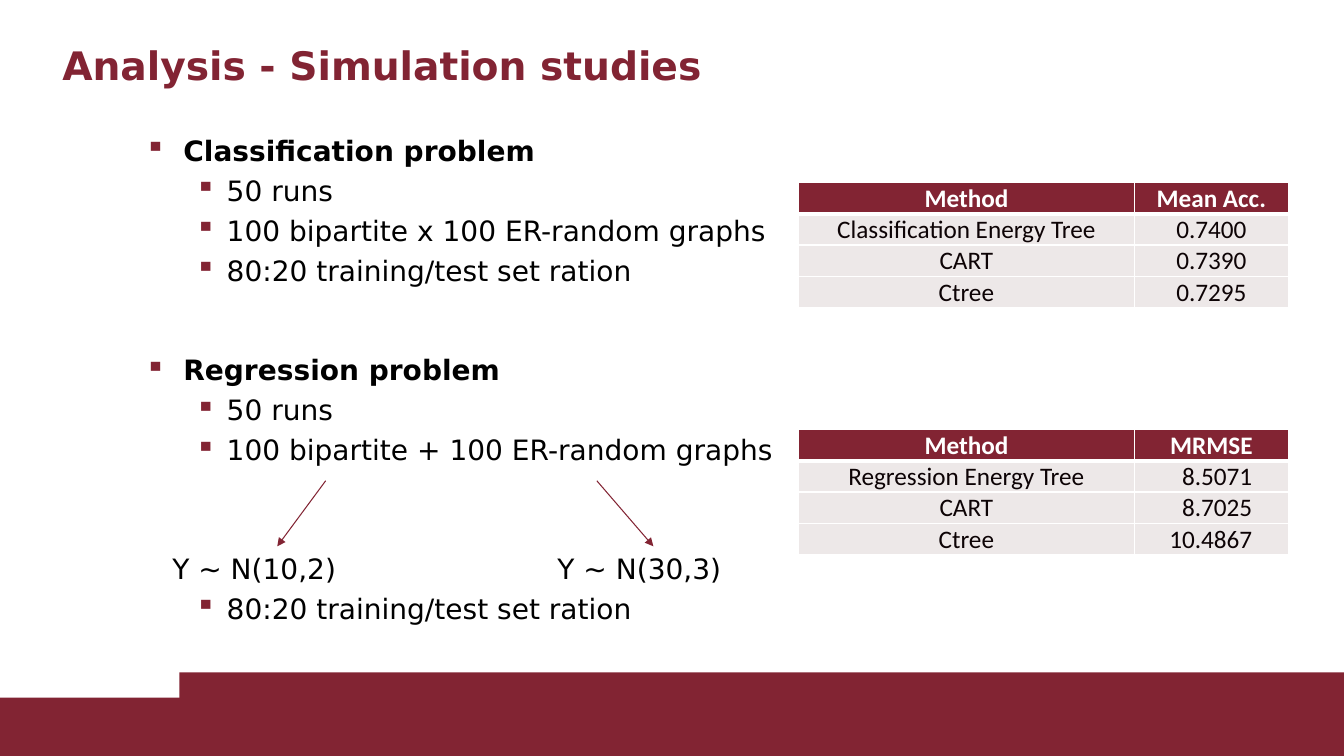
from lxml import etree
from pptx import Presentation
from pptx import util as u
from pptx.dml.color import RGBColor
from pptx.enum import shapes, text
from pptx.oxml import ns

COLORS = {"wine": "822433", "white": "FFFFFF", "black": "000000",
          "cell": "EDE8E8", "ink": "0D0305"}
LINE_GAP = 4.6     # points before each line of a list
LINE_PITCH = 27.9  # points from one list line to the next


def rgb(name):
    return RGBColor.from_string(COLORS[name])


def add_node(parent, tag, **attributes):
    node = etree.SubElement(parent, ns.qn(tag))
    for key, value in attributes.items():
        node.set(key, str(value))
    return node


def write(para, words, size=20, font="DejaVu Sans", color="black",
          bold=False, align=None, before=0):
    """Put words into a paragraph with the given format."""
    para.alignment = align
    para.space_before = u.Pt(before)
    span = para.add_run()
    span.text = words
    span.font.size = u.Pt(size)
    span.font.name = font
    span.font.bold = bold
    span.font.color.rgb = rgb(color)


def add_bullet(para, margin, hanging):
    properties = para._p.get_or_add_pPr()
    properties.set("marL", str(u.Inches(margin)))
    properties.set("indent", str(-u.Inches(hanging)))
    bullet_color = add_node(properties, "a:buClr")
    add_node(bullet_color, "a:srgbClr", val=COLORS["wine"])
    add_node(properties, "a:buChar", char="▪")


def add_tabs(para, stops):
    tab_list = add_node(para._p.get_or_add_pPr(), "a:tabLst")
    for stop in stops:
        add_node(tab_list, "a:tab", pos=u.Inches(stop), algn="l")


def add_border(cell, side, width):
    line = add_node(cell._tc.get_or_add_tcPr(), f"a:ln{side}", w=u.Pt(width))
    fill = add_node(line, "a:solidFill")
    add_node(fill, "a:srgbClr", val=COLORS["white"])


class SlideBuilder:
    def __init__(self, page):
        self.page = page

    def bar(self, left, top, width, height):
        bar = self.page.shapes.add_shape(
            shapes.MSO_SHAPE.RECTANGLE,
            *map(u.Inches, (left, top, width, height)))
        bar.shadow.inherit = False
        bar.fill.solid()
        bar.fill.fore_color.rgb = rgb("wine")
        bar.line.fill.background()

    def text_frame(self, left, top, width, height):
        box = self.page.shapes.add_textbox(
            *map(u.Inches, (left, top, width, height)))
        box.text_frame.word_wrap = True
        return box.text_frame

    def title(self, words):
        frame = self.text_frame(0.52, 0.36, 12.8, 0.55)
        write(frame.paragraphs[0], words, size=28, color="wine", bold=True)

    def outline(self, top, height, heading, items):
        frame = self.text_frame(1.34, top, 6.58, height)
        para = frame.paragraphs[0]
        write(para, heading, bold=True, before=LINE_GAP)
        add_bullet(para, 0.38, 0.38)
        for item in items:
            para = frame.add_paragraph()
            if "\t" in item:  # the two distributions, below the arrows
                write(para, item, before=LINE_GAP + 2 * LINE_PITCH)
                add_tabs(para, (0.27, 4.09))
            else:
                write(para, item, before=LINE_GAP)
                add_bullet(para, 0.81, 0.31)

    def table(self, top, rows, number_inset=None):
        """Numbers are centred, or right-aligned at number_inset."""
        widths = (3.33, 1.53)
        table = self.page.shapes.add_table(
            len(rows), len(widths), u.Inches(7.92), u.Inches(top),
            u.Inches(sum(widths)), u.Inches(0.31 * len(rows))).table
        table.horz_banding = False
        for column, width in zip(table.columns, widths):
            column.width = u.Inches(width)
        for row, values in enumerate(rows):
            for column, value in enumerate(values):
                cell = table.cell(row, column)
                header = row == 0
                at_right = number_inset and column and not header
                cell.vertical_anchor = text.MSO_ANCHOR.BOTTOM
                cell.margin_left = cell.margin_top = u.Inches(0.01)
                cell.margin_right = u.Inches(number_inset if at_right else 0.01)
                cell.margin_bottom = 0
                for side, width in (("L", 1), ("R", 1),
                                    ("T", 3 if row == 1 else 1),
                                    ("B", 3 if header else 1)):
                    add_border(cell, side, width)
                cell.fill.solid()
                cell.fill.fore_color.rgb = rgb("wine" if header else "cell")
                align = text.PP_ALIGN.RIGHT if at_right else text.PP_ALIGN.CENTER
                write(cell.text_frame.paragraphs[0], value, size=18,
                      font="Calibri", color="white" if header else "ink",
                      bold=header, align=align)

    def arrow(self, start, end):
        arrow = self.page.shapes.add_connector(
            shapes.MSO_CONNECTOR.STRAIGHT, *map(u.Inches, start + end))
        arrow.line.color.rgb = rgb("wine")
        arrow.line.width = u.Pt(0.75)
        add_node(arrow.line._get_or_add_ln(), "a:tailEnd", type="triangle")
        add_node(arrow._element.spPr, "a:effectLst")


def main():
    deck = Presentation()
    deck.slide_width, deck.slide_height = u.Inches(13.33), u.Inches(7.5)
    slide = SlideBuilder(deck.slides.add_slide(deck.slide_layouts[6]))

    # Footer band
    slide.bar(0, 6.92, 13.33, 0.58)
    slide.bar(1.78, 6.67, 11.55, 0.83)

    slide.title("Analysis - Simulation studies")

    # Classification
    slide.outline(1.27, 1.71, "Classification problem", (
        "50 runs",
        "100 bipartite x 100 ER-random graphs",
        "80:20 training/test set ration"))
    slide.table(1.81, (
        ("Method", "Mean Acc."),
        ("Classification Energy Tree", "0.7400"),
        ("CART", "0.7390"),
        ("Ctree", "0.7295")))

    # Regression
    slide.outline(3.45, 2.85, "Regression problem", (
        "50 runs",
        "100 bipartite + 100 ER-random graphs",
        "\tY ~ N(10,2)\tY ~ N(30,3)",
        "80:20 training/test set ration"))
    slide.table(4.26, (
        ("Method", "MRMSE"),
        ("Regression Energy Tree", "8.5071"),
        ("CART", "8.7025"),
        ("Ctree", "10.4867")), number_inset=0.36)

    # Arrows from the graphs to their distributions
    slide.arrow((3.23, 4.77), (2.75, 5.42))
    slide.arrow((5.92, 4.77), (6.48, 5.42))

    deck.save("out.pptx")


if __name__ == "__main__":
    main()
